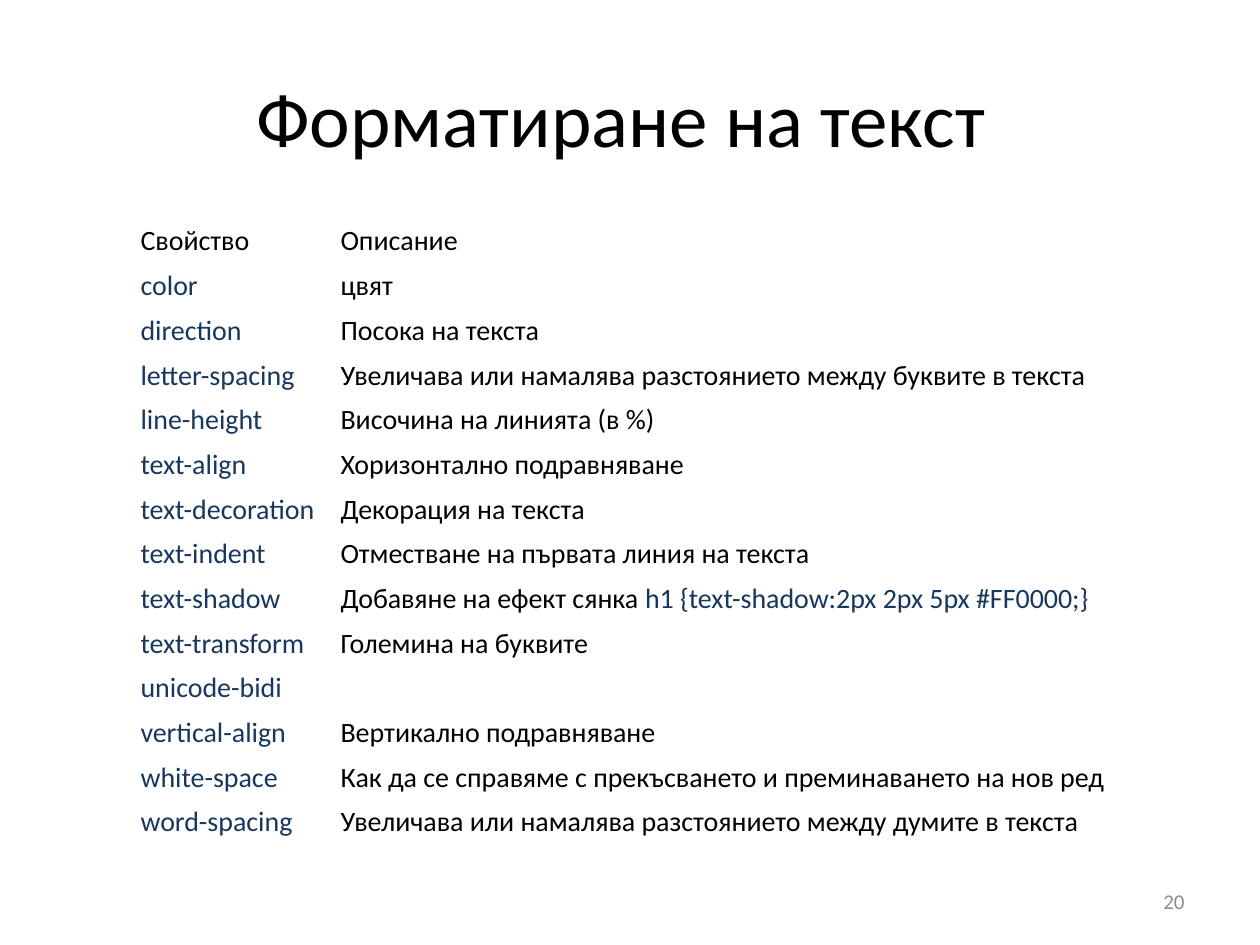
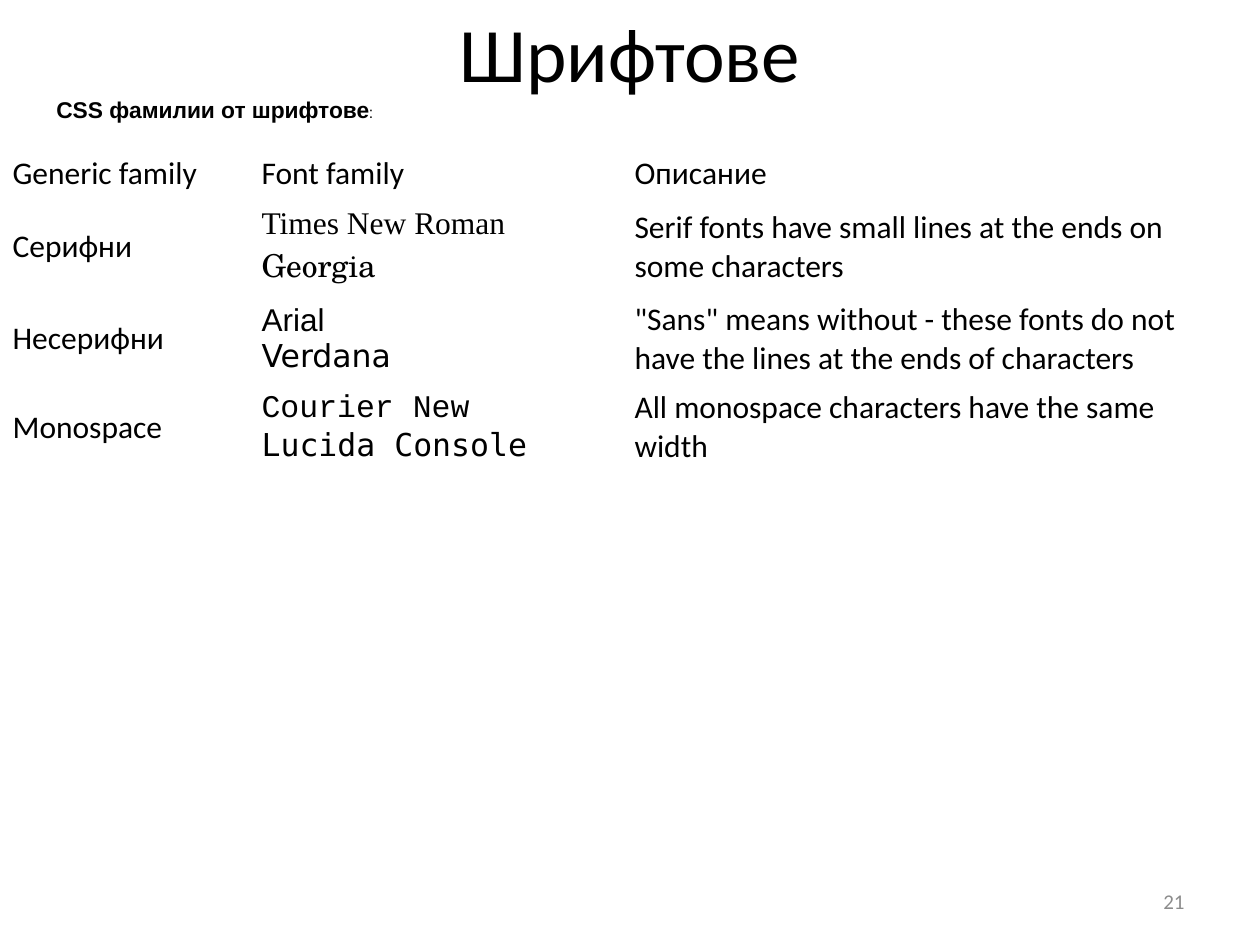
from pptx import Presentation
from pptx.dml.color import RGBColor
from pptx.enum.text import MSO_ANCHOR, PP_ALIGN
from pptx.util import Pt

MID = MSO_ANCHOR.MIDDLE
LEFT, CENTER, RIGHT = PP_ALIGN.LEFT, PP_ALIGN.CENTER, PP_ALIGN.RIGHT
BLACK = RGBColor(0x00, 0x00, 0x00)
NAVY = RGBColor(0x17, 0x37, 0x5E)
GREY = RGBColor(0x8C, 0x8C, 0x8C)
FONT = "Calibri"
SCALE = 914400 / 126  # EMU in one px

PROPS = [
    ("Свойство", "Описание"),
    ("color", "цвят"),
    ("direction", "Посока на текста"),
    ("letter-spacing", "Увеличава или намалява разстоянието между буквите в текста"),
    ("line-height", "Височина на линията (в %)"),
    ("text-align", "Хоризонтално подравняване"),
    ("text-decoration", "Декорация на текста"),
    ("text-indent", "Отместване на първата линия на текста"),
    ("text-shadow", "Добавяне на ефект сянка "),
    ("text-transform", "Големина на буквите"),
    ("unicode-bidi", ""),
    ("vertical-align", "Вертикално подравняване"),
    ("white-space", "Как да се справяме с прекъсването и преминаването на нов ред"),
    ("word-spacing", "Увеличава или намалява разстоянието между думите в текста"),
]
CODE = {"text-shadow": "h1 {text-shadow:2px 2px 5px #FF0000;}"}

# A cell is a text, or a list of (line, font) pairs.
FAMILIES = [
    ("Generic family", "Font family", "Описание"),
    ("Серифни",
     [("Times New Roman", "Times New Roman"), ("Georgia", "TeX Gyre Schola")],
     "Serif fonts have small lines at the ends on some characters"),
    ("Несерифни",
     [("Arial", "Arial"), ("Verdana", "DejaVu Sans")],
     '"Sans" means without - these fonts do not have the lines at the ends of characters'),
    ("Monospace",
     [("Courier New", "Courier New"), ("Lucida Console", "DejaVu Sans Mono")],
     "All monospace characters have the same width"),
]


def px(n):
    return round(n * SCALE)


def style(font, size=None, name=None, color=None, bold=None):
    if size:
        font.size = Pt(size)
    if name:
        font.name = name
    if color is not None:
        font.color.rgb = color
    if bold is not None:
        font.bold = bold


def add_run(par, text, **look):
    run = par.add_run()
    run.text = text
    style(run.font, **look)


def add_box(slide, x, y, w, h, align):
    """Add a text box and return its first paragraph."""
    frame = slide.shapes.add_textbox(px(x), px(y), px(w), px(h)).text_frame
    frame.word_wrap = True
    frame.vertical_anchor = MID
    par = frame.paragraphs[0]
    par.alignment = align
    return par


def add_page(deck, title, number, y, h):
    """Add a slide with its title and slide number."""
    slide = deck.slides.add_slide(deck.slide_layouts[5])
    head = slide.shapes.title
    head.left, head.top, head.width, head.height = px(63), px(y), px(1134), px(h)
    head.text_frame.text = title
    head.text_frame.vertical_anchor = MID
    par = head.text_frame.paragraphs[0]
    par.alignment = CENTER
    style(par.font, 44, FONT, BLACK)
    par = add_box(slide, 903, 876, 294, 50, RIGHT)
    par.text = str(number)
    style(par.font, 12, FONT, GREY)
    return slide


def add_grid(slide, x, y, cols, rows, pad):
    """Add a plain table without fills or banding."""
    grid = slide.shapes.add_table(len(rows), len(cols), px(x), px(y),
                                  px(sum(cols)), px(sum(rows))).table
    grid.first_row = grid.horz_banding = False
    for col, w in zip(grid.columns, cols):
        col.width = px(w)
    for row, h in zip(grid.rows, rows):
        row.height = px(h)
    for cell in grid.iter_cells():
        cell.fill.background()
        cell.vertical_anchor = MID
        cell.margin_top = cell.margin_bottom = px(pad)
    return grid


def add_props(deck):
    slide = add_page(deck, "Форматиране на текст ", 20, 38, 157)
    count = len(PROPS)
    grid = add_grid(slide, 128, 219, [200, 802], [626 / count] * count, 3)
    for r, pair in enumerate(PROPS):
        for c, text in enumerate(pair):
            par = grid.cell(r, c).text_frame.paragraphs[0]
            style(par.font, 16, FONT, NAVY if r and not c else BLACK)
            if text:
                add_run(par, text)
        if pair[0] in CODE:
            add_run(par, CODE[pair[0]], color=NAVY)


def add_fonts(deck):
    slide = add_page(deck, "Шрифтове", 21, -4, 111)
    grid = add_grid(slide, 0, 149, [249, 373, 623], [50, 96, 88, 89], 6)
    for r, row in enumerate(FAMILIES):
        for c, item in enumerate(row):
            par = grid.cell(r, c).text_frame.paragraphs[0]
            style(par.font, 18, FONT, BLACK)
            lines = [(item, FONT)] if isinstance(item, str) else item
            for i, (text, name) in enumerate(lines):
                if i:
                    par.add_line_break()
                add_run(par, text, name=name)
    par = add_box(slide, 44, 87, 1197, 45, LEFT)
    style(par.font, name="Arial", color=BLACK)
    add_run(par, "CSS фамилии от шрифтове", size=13, bold=True)
    add_run(par, ":", size=9)


def main():
    deck = Presentation()
    deck.slide_width, deck.slide_height = px(1260), px(945)
    add_props(deck)
    add_fonts(deck)
    deck.save("out.pptx")


if __name__ == "__main__":
    main()
